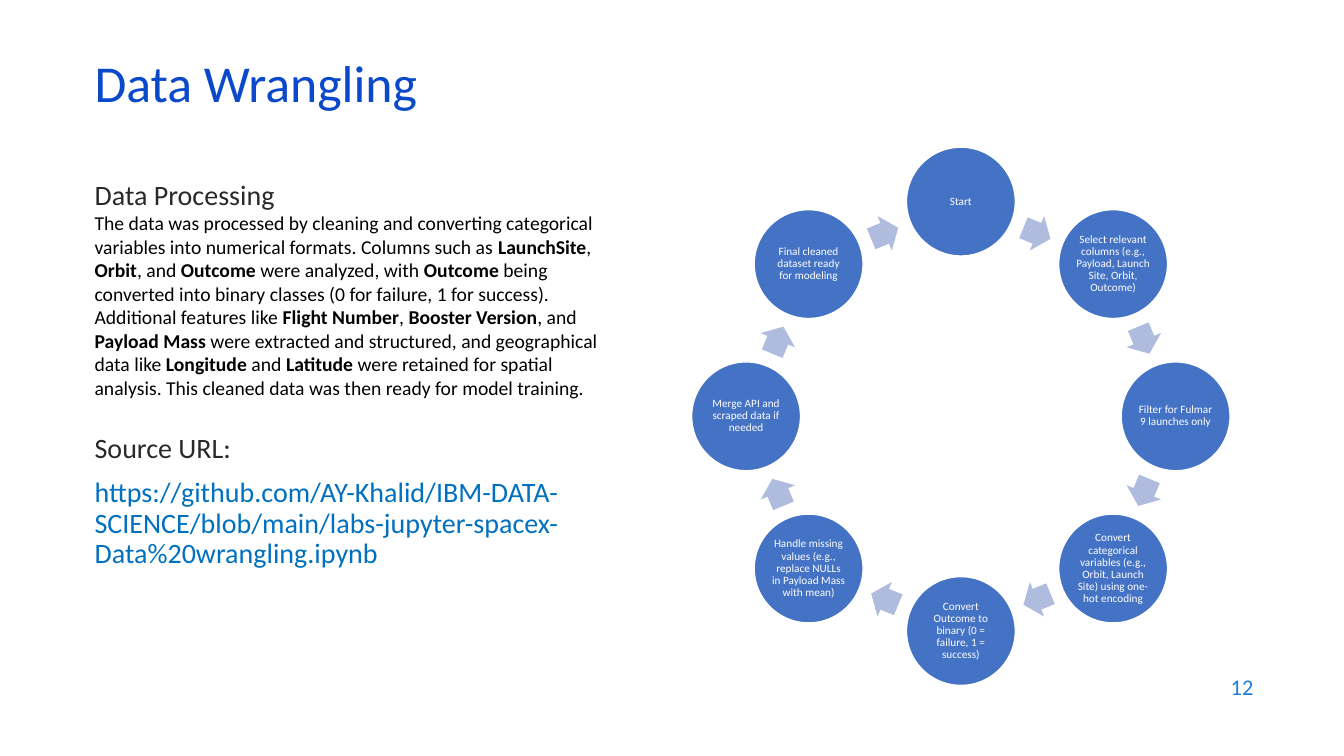
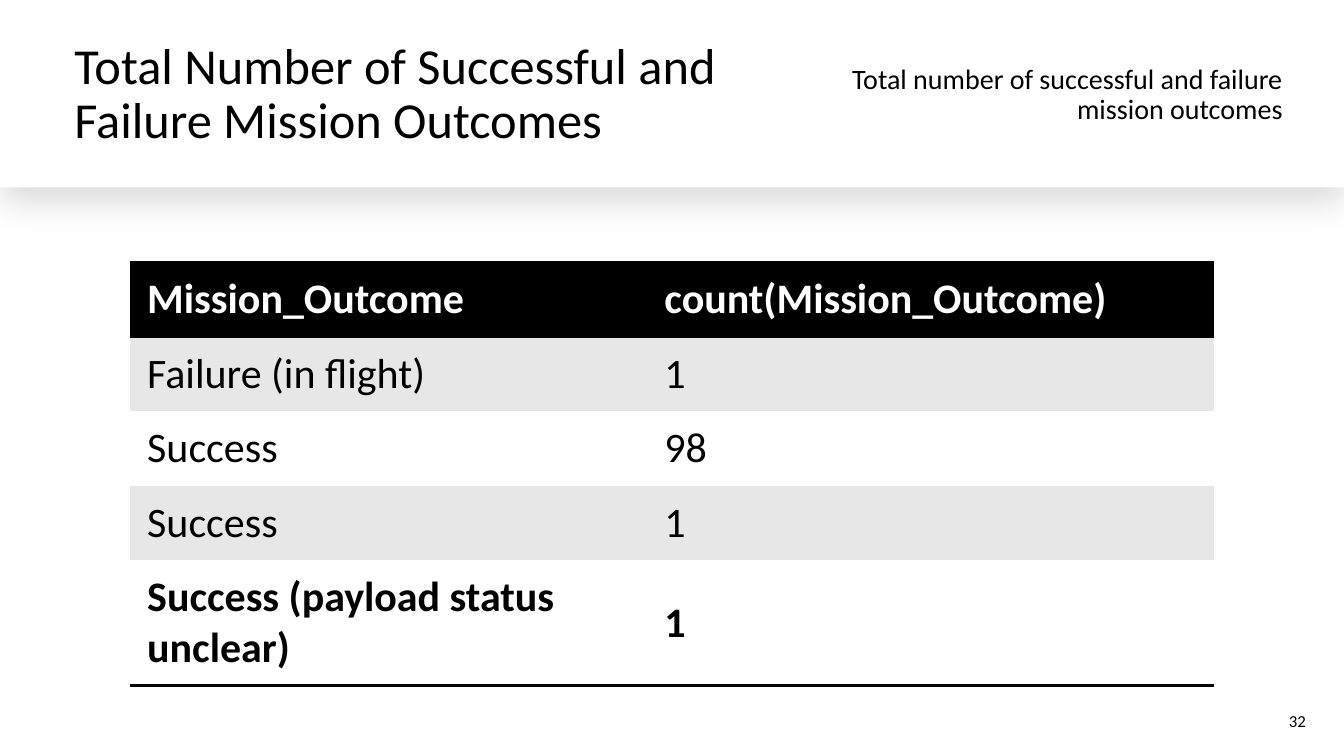
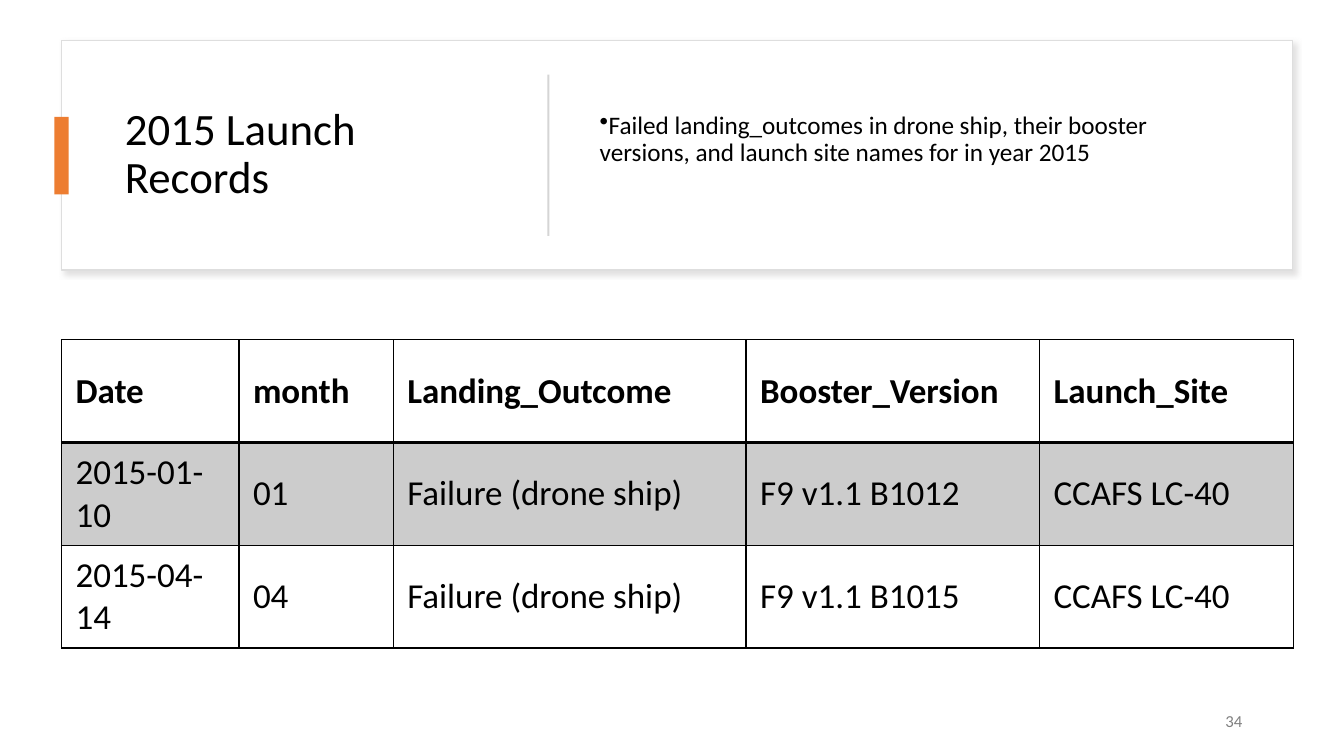
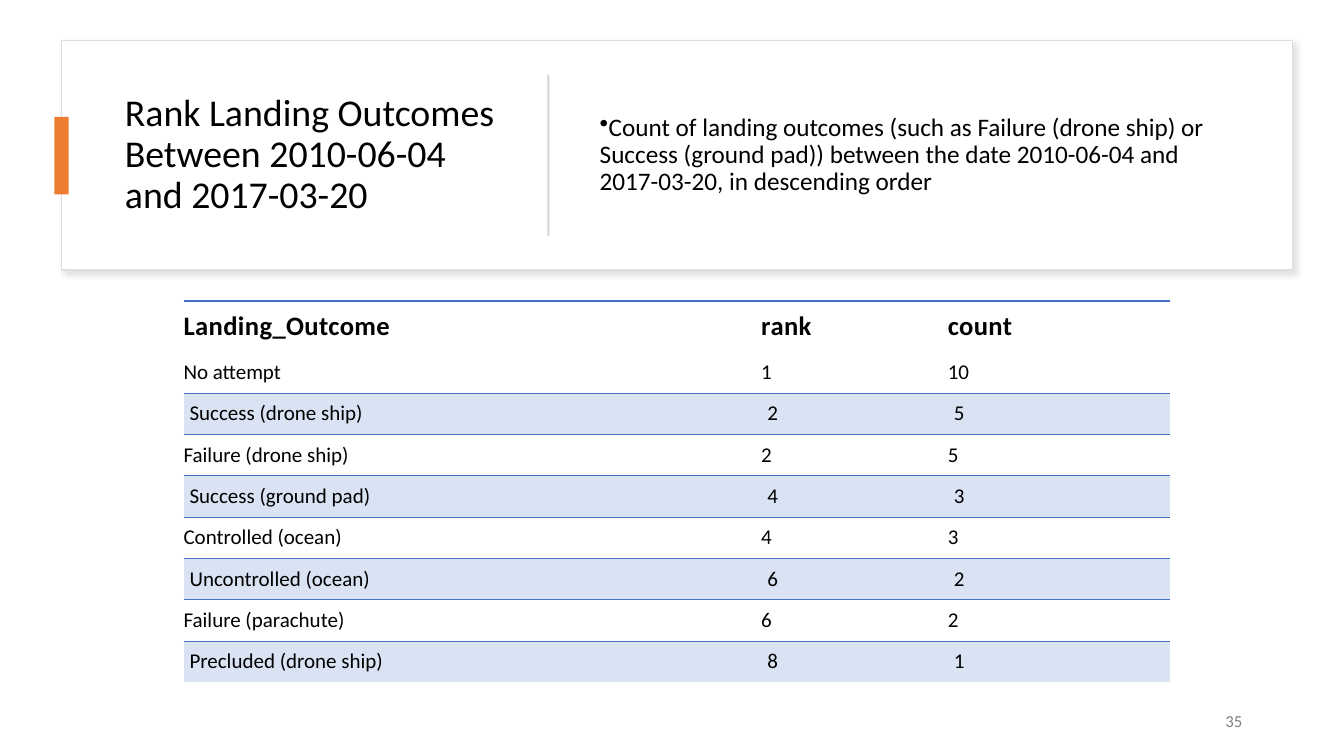
from dataclasses import dataclass
from math import cos, radians, sin

from lxml import etree
from pptx import Presentation
from pptx.dml.color import RGBColor
from pptx.enum.shapes import MSO_SHAPE as SHAPE
from pptx.enum.text import MSO_ANCHOR as ANCHOR, PP_ALIGN as ALIGN
from pptx.oxml.ns import qn
from pptx.util import Inches, Pt


@dataclass(frozen=True)
class Theme:
    font: str = "Calibri"
    black: str = "000000"
    white: str = "FFFFFF"
    title: str = "0B49CB"
    heading: str = "292929"
    link: str = "0070C0"
    number: str = "1C7DDB"
    muted: str = "808080"
    blue: str = "4472C4"
    arrow: str = "B0BCDE"
    accent: str = "ED7D31"
    card_line: str = "DEDEDE"
    card_shadow: str = "C5C3C3"
    divider: str = "D5D5D5"
    gray_band: str = "E7E7E7"
    dark_band: str = "CCCCCC"
    blue_band: str = "DAE3F3"
    node_size: int = 8
    small: int = 12
    body: int = 14
    rank_row: int = 15
    page_size: int = 16
    note: int = 18
    rank_head: int = 19
    lead: int = 20
    record: int = 25
    long_title: int = 27
    outcome: int = 30
    card_title: int = 32
    wide_title: int = 36
    page_title: int = 37


T = Theme()
NO_STYLE = "{2D5ABB26-0587-4C30-8999-92F81FD0307C}"


def rgb(color):
    return RGBColor.from_string(color)


def put_text(tf, text, size, color=T.black, bold=False, align=ALIGN.LEFT,
             line=None, before=0, bullet=None, track=None, new=False):
    p = tf.add_paragraph() if new else tf.paragraphs[0]
    if bullet:
        pPr = p._p.get_or_add_pPr()
        pPr.set("marL", "0")
        pPr.set("indent", str(-Inches(0.25)))
        etree.SubElement(pPr, qn("a:buChar"), char=bullet)
    p.alignment = align
    if line:
        p.line_spacing = line
    if before:
        p.space_before = Pt(before)
    for i, part in enumerate(text.split("**")):
        r = p.add_run()
        r.text = part
        f = r.font
        f.name, f.size, f.bold = T.font, Pt(size), bold or i % 2 == 1
        f.color.rgb = rgb(color)
        if track:
            r._r.get_or_add_rPr().set("spc", str(track))


def set_insets(target, left, top, right, bottom):
    target.margin_left, target.margin_top = Inches(left), Inches(top)
    target.margin_right, target.margin_bottom = Inches(right), Inches(bottom)


def text_box(s, box, text, size, anchor=ANCHOR.MIDDLE, **fmt):
    tf = s.shapes.add_textbox(*map(Inches, box)).text_frame
    tf.word_wrap = True
    tf.vertical_anchor = anchor
    put_text(tf, text, size, **fmt)
    return tf


def shape(s, kind, box, fill, line=None):
    sp = s.shapes.add_shape(kind, *map(Inches, box))
    sp.shadow.inherit = False
    sp.fill.solid()
    sp.fill.fore_color.rgb = rgb(fill)
    if line:
        sp.line.color.rgb = rgb(line)
        sp.line.width = Pt(1)
    else:
        sp.line.fill.background()
    return sp


def add_shadow(sp, color, alpha, blur, dist, angle):
    effects = sp._element.spPr.find(qn("a:effectLst"))
    shadow = etree.SubElement(
        effects, qn("a:outerShdw"), blurRad=str(Pt(blur)), dist=str(Pt(dist)),
        dir=str(angle * 60000), algn="tl", rotWithShape="0")
    clr = etree.SubElement(shadow, qn("a:srgbClr"), val=color)
    etree.SubElement(clr, qn("a:alpha"), val=str(alpha * 1000))


def page_number(s, box, number, size=T.small, color=T.black):
    text_box(s, box, str(number), size, color=color, align=ALIGN.RIGHT)


def set_borders(cell, borders):
    tcPr = cell._tc.get_or_add_tcPr()
    for side in "LRTB":
        if side in borders:
            color, width = borders[side]
            ln = etree.SubElement(tcPr, qn("a:ln" + side), w=str(Pt(width)))
            fill = etree.SubElement(ln, qn("a:solidFill"))
            etree.SubElement(fill, qn("a:srgbClr"), val=color)


def add_grid(s, left, top, widths, heights, rows, style):
    table = s.shapes.add_table(
        len(rows), len(widths), Inches(left), Inches(top),
        Inches(sum(widths)), Inches(sum(heights))).table
    table._tbl.tblPr.find(qn("a:tableStyleId")).text = NO_STYLE
    table.first_row = table.horz_banding = False
    for col, width in zip(table.columns, widths):
        col.width = Inches(width)
    for i, values in enumerate(rows):
        table.rows[i].height = Inches(heights[i])
        look = style(i)
        for j, value in enumerate(values):
            cell = table.cell(i, j)
            cell.vertical_anchor = ANCHOR.MIDDLE
            set_insets(cell, *look["insets"])
            set_borders(cell, look.get("borders", {}))
            if look.get("fill"):
                cell.fill.solid()
                cell.fill.fore_color.rgb = rgb(look["fill"])
            else:
                cell.fill.background()
            put_text(cell.text_frame, value, **look["text"])


def cycle(s, left, top, size, node, steps):
    radius = (size - node) / 2
    cx, cy = left + size / 2, top + size / 2
    step = 360 / len(steps)
    arrow_w, arrow_h = 0.29, 0.37

    def around(angle, reach, w, h):
        a = radians(angle)
        return (round(cx + reach * sin(a) - w / 2, 2),
                round(cy - reach * cos(a) - h / 2, 2), w, h)

    for i, label in enumerate(steps):
        sp = shape(s, SHAPE.OVAL, around(i * step, radius, node, node),
                   T.blue, T.white)
        tf = sp.text_frame
        tf.word_wrap = True
        tf.vertical_anchor = ANCHOR.MIDDLE
        set_insets(tf, *[0.01] * 4)
        put_text(tf, label, T.node_size, color=T.white,
                 align=ALIGN.CENTER, line=0.9)
        middle = (i + 0.5) * step
        reach = radius * cos(radians(step / 2))
        arrow = shape(s, SHAPE.RIGHT_ARROW,
                      around(middle, reach, arrow_w, arrow_h), T.arrow)
        arrow.adjustments[0] = 0.6
        arrow.rotation = middle


def header_card(s, left, top, title, title_size, note, note_bottom=0.05):
    card = shape(s, SHAPE.RECTANGLE, (left, top, 12.21, 2.28),
                 T.white, T.card_line)
    add_shadow(card, T.card_shadow, 50, 4, 3, 45)
    text_box(s, (left + 0.53, top + 0.24, 3.89, 1.8), title, title_size,
             line=0.9)
    shape(s, SHAPE.RECTANGLE, (left - 0.07, top + 0.76, 0.14, 0.77), T.accent)
    shape(s, SHAPE.RECTANGLE, (left + 4.82, top + 0.34, 0.02, 1.6), T.divider)
    tf = text_box(s, (left + 5.24, top + 0.24, 6.56, 1.8), note, T.note,
                  line=0.9, bullet="•")
    tf.margin_bottom = Inches(note_bottom)


def wrangling_slide(s):
    page_number(s, (9.53, 6.59, 3, 0.44), 12, T.page_size, T.number)
    text_box(s, (0.84, 0.59, 11.5, 0.6), "Data Wrangling", T.page_title,
             color=T.title, line=0.7)
    tf = text_box(s, (0.84, 1.71, 5.2, 2.55), "Data Processing", T.lead,
                  ANCHOR.TOP, color=T.heading)
    put_text(tf, "The data was processed by cleaning and converting "
             "categorical variables into numerical formats. Columns such as "
             "**LaunchSite**, **Orbit**, and **Outcome** were analyzed, with "
             "**Outcome** being converted into binary classes (0 for failure, "
             "1 for success). Additional features like **Flight Number**, "
             "**Booster Version**, and **Payload Mass** were extracted and "
             "structured, and geographical data like **Longitude** and "
             "**Latitude** were retained for spatial analysis. This cleaned "
             "data was then ready for model training.", T.body, new=True)
    tf = text_box(s, (0.84, 4.26, 5.2, 2.55), "Source URL:", T.lead,
                  ANCHOR.TOP, color=T.heading, line=0.9)
    put_text(tf, "https://github.com/AY-Khalid/IBM-DATA-SCIENCE/blob/main/"
             "labs-jupyter-spacex-Data%20wrangling.ipynb", T.lead,
             color=T.link, line=0.9, before=10, new=True)
    cycle(s, 6.86, 1.46, 5.34, 1.08, [
        "Start",
        "Select relevant columns (e.g., Payload, Launch Site, Orbit, Outcome)",
        "Filter for Fulmar 9 launches only",
        "Convert categorical variables (e.g., Orbit, Launch Site) using "
        "one-hot encoding",
        "Convert Outcome to binary (0 = failure, 1 = success)",
        "Handle missing values (e.g., replace NULLs in Payload Mass with mean)",
        "Merge API and scraped data if needed",
        "Final cleaned dataset ready for modeling",
    ])


def outcomes_slide(s):
    band = shape(s, SHAPE.RECTANGLE, (0, 0, 13.33, 1.86), T.white)
    add_shadow(band, T.black, 14, 24, 9, 91)
    text_box(s, (0.64, 0.27, 7.67, 1.35),
             "Total Number of Successful and Failure Mission Outcomes",
             T.wide_title, line=0.9)
    text_box(s, (8.32, 0.27, 4.5, 1.35),
             "Total number of successful and failure mission outcomes",
             T.lead, align=ALIGN.RIGHT, line=0.9)
    page_number(s, (9.55, 6.95, 3.5, 0.4), 32)
    rows = [
        ("Mission_Outcome", "count(Mission_Outcome)"),
        ("Failure (in flight)", "1"),
        ("Success", "98"),
        ("Success", "1"),
        ("Success (payload status unclear)", "1"),
    ]
    rule = (T.black, 2)

    def style(i):
        head, last = i == 0, i == len(rows) - 1
        return dict(
            insets=(0.17, 0.08, 0.17, 0.08),
            fill=T.black if head else T.gray_band if i % 2 else T.white,
            borders=dict(T=rule, B=rule) if head else
            dict(B=rule) if last else {},
            text=dict(size=T.outcome, bold=head or last,
                      color=T.white if head else T.black))

    add_grid(s, 1.29, 2.6, [5.13, 5.62], [0.74] * 4 + [1.24], rows, style)


def records_slide(s):
    header_card(s, 0.61, 0.4, "2015 Launch Records", T.card_title,
                "Failed landing_outcomes in drone ship, their booster "
                "versions, and launch site names for in year 2015", 0.35)
    page_number(s, (9.42, 6.95, 3, 0.4), 34, color=T.muted)
    rows = [
        ("Date", "month", "Landing_Outcome", "Booster_Version", "Launch_Site"),
        ("2015-01-10", "01", "Failure (drone ship)", "F9 v1.1 B1012",
         "CCAFS LC-40"),
        ("2015-04-14", "04", "Failure (drone ship)", "F9 v1.1 B1015",
         "CCAFS LC-40"),
    ]

    def style(i):
        borders = {side: (T.black, 1) for side in "LRTB"}
        if i == 0:
            borders["B"] = (T.black, 2)
        if i == 1:
            borders["T"] = (T.black, 2)
        return dict(insets=(0.14, 0.07, 0.14, 0.07), borders=borders,
                    fill=T.dark_band if i % 2 else None,
                    text=dict(size=T.record, bold=i == 0))

    add_grid(s, 0.61, 3.37, [1.76, 1.53, 3.5, 2.91, 2.52], [1.02] * 3,
             rows, style)


def ranking_slide(s):
    header_card(s, 0.61, 0.4,
                "Rank Landing Outcomes Between 2010-06-04 and 2017-03-20",
                T.long_title,
                "Count of landing outcomes (such as Failure (drone ship) or "
                "Success (ground pad)) between the date 2010-06-04 and "
                "2017-03-20, in descending order")
    page_number(s, (9.42, 6.95, 3, 0.4), 35, color=T.muted)
    rows = [
        ("Landing_Outcome", "rank", "count"),
        ("No attempt", "1", "10"),
        ("Success (drone ship)", "2", "5"),
        ("Failure (drone ship)", "2", "5"),
        ("Success (ground pad)", "4", "3"),
        ("Controlled (ocean)", "4", "3"),
        ("Uncontrolled (ocean)", "6", "2"),
        ("Failure (parachute)", "6", "2"),
        ("Precluded (drone ship)", "8", "1"),
    ]

    def style(i):
        if i == 0:
            return dict(insets=(0, 0.06, 0.01, 0.06),
                        borders=dict(T=(T.blue, 1.5)),
                        text=dict(size=T.rank_head, bold=True, track=30))
        band = i % 2 == 0
        rule = (T.blue, 0.75)
        return dict(insets=(0.06 if band else 0, 0.06, 0.12, 0.06),
                    borders=dict(T=rule) if band else
                    dict(B=rule),
                    fill=T.blue_band if band else None,
                    text=dict(size=T.rank_row))

    add_grid(s, 1.82, 2.99, [5.73, 1.85, 2.2], [0.5] + [0.41] * 8,
             rows, style)


def main():
    prs = Presentation()
    prs.slide_width, prs.slide_height = Inches(13.33), Inches(7.5)
    for build in (wrangling_slide, outcomes_slide, records_slide,
                  ranking_slide):
        build(prs.slides.add_slide(prs.slide_layouts[6]))
    prs.save("out.pptx")


if __name__ == "__main__":
    main()
